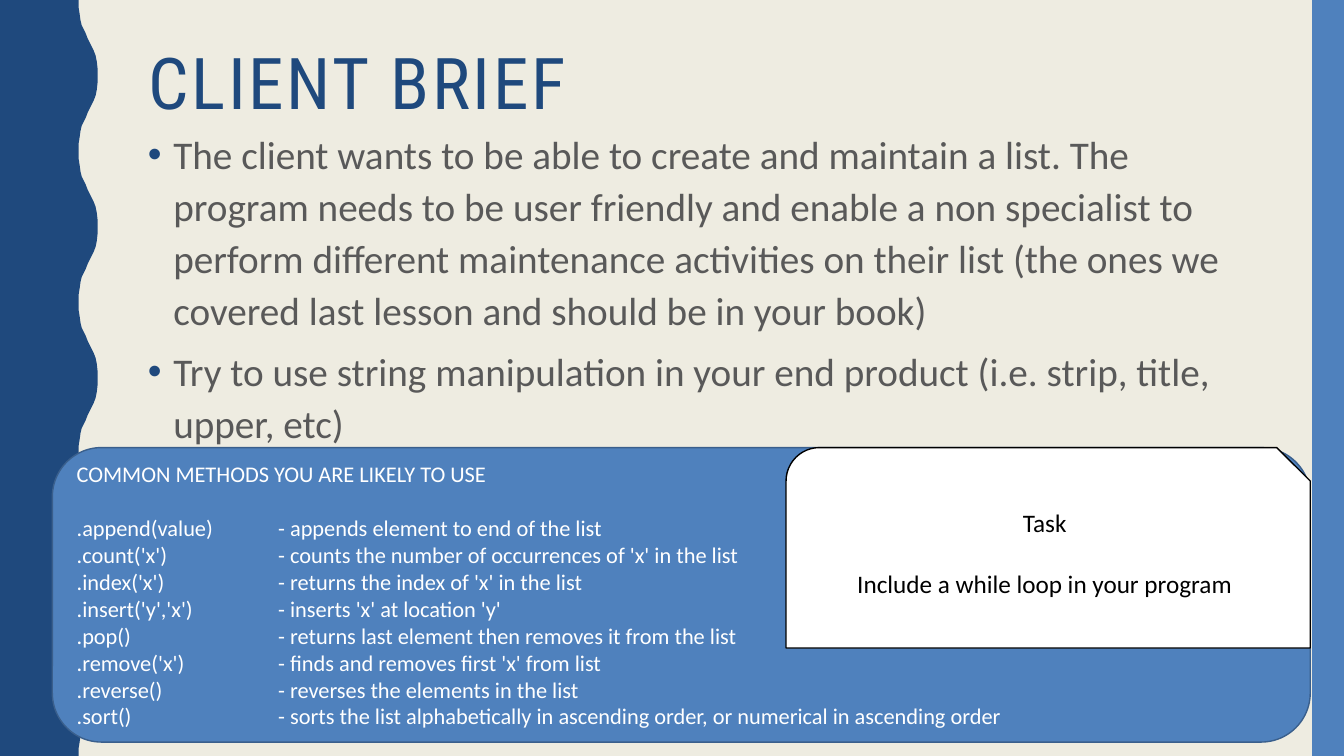
from dataclasses import dataclass

from lxml import etree
from pptx import Presentation
from pptx.dml.color import RGBColor
from pptx.enum.shapes import MSO_SHAPE
from pptx.enum.text import MSO_ANCHOR, MSO_AUTO_SIZE, PP_ALIGN
from pptx.oxml.ns import qn
from pptx.util import Cm, Pt

RECTANGLE = MSO_SHAPE.RECTANGLE
ROUNDED = MSO_SHAPE.ROUNDED_RECTANGLE
SNIP_ROUND = MSO_SHAPE.SNIP_ROUND_RECTANGLE
TOP, MIDDLE = MSO_ANCHOR.TOP, MSO_ANCHOR.MIDDLE
LEFT, CENTER = PP_ALIGN.LEFT, PP_ALIGN.CENTER
NO_AUTOFIT = MSO_AUTO_SIZE.NONE
TITLE_ONLY = 5


@dataclass(frozen=True)
class Theme:
    cream: str = "EEECE1"
    navy: str = "1F497D"
    blue: str = "4F81BD"
    outline: str = "3A5F8C"
    grey: str = "595959"
    white: str = "FFFFFF"
    black: str = "000000"
    heading_font: str = "Roboto Condensed"
    body_font: str = "Calibri"
    title_size: int = 51
    body_size: int = 28
    task_size: int = 18
    method_size: int = 16


THEME = Theme()
SLIDE_WIDTH, SLIDE_HEIGHT = 33.87, 19.05
WAVE_COUNT = 5
WAVE_LENGTH = SLIDE_HEIGHT / WAVE_COUNT
HALF_WAVE = [
    (1.98, 0), (1.98, 0.18), (2.01, 0.36), (2.03, 0.51), (2.06, 0.64),
    (2.11, 0.74), (2.16, 0.84), (2.21, 0.97), (2.26, 1.07), (2.31, 1.17),
    (2.36, 1.27), (2.41, 1.4), (2.44, 1.55), (2.46, 1.73), (2.46, 1.9),
]
BRIEF = [
    "The client wants to be able to create and maintain a list. The program needs "
    "to be user friendly and enable a non specialist to perform different maintenance "
    "activities on their list (the ones we covered last lesson and should be in your book)",
    "Try to use string manipulation in your end product (i.e. strip, title, upper, etc)",
]
METHODS = [
    (".append(value)", "appends element to end of the list"),
    (".count('x')", "counts the number of occurrences of 'x' in the list"),
    (".index('x')", "returns the index of 'x' in the list"),
    (".insert('y','x')", "inserts 'x' at location 'y'"),
    (".pop()", "returns last element then removes it from the list"),
    (".remove('x')", "finds and removes first 'x' from list"),
    (".reverse()", "reverses the elements in the list"),
    (".sort()", "sorts the list alphabetically in ascending order, "
                "or numerical in ascending order"),
]


def color(value):
    return RGBColor.from_string(value)


def style(paragraph, font_name, size, value):
    paragraph.font.name = font_name
    paragraph.font.size = Pt(size)
    paragraph.font.color.rgb = color(value)


def paint(shape, fill, line=None):
    shape.shadow.inherit = False
    shape.fill.solid()
    shape.fill.fore_color.rgb = color(fill)
    if line:
        shape.line.color.rgb = color(line)
        shape.line.width = Pt(1)
    else:
        shape.line.fill.background()


def add_block(slide, kind, box, fill, line=None):
    shape = slide.shapes.add_shape(kind, *map(Cm, box))
    paint(shape, fill, line)
    return shape


def add_wave(slide):
    half = HALF_WAVE + [(x, WAVE_LENGTH - y) for x, y in HALF_WAVE[-2::-1]]
    edge = [(x, y + wave * WAVE_LENGTH) for wave in range(WAVE_COUNT) for x, y in half]
    points = [(Cm(x), Cm(y)) for x, y in edge + [(0, SLIDE_HEIGHT)]]
    builder = slide.shapes.build_freeform(0, 0)
    builder.add_line_segments(points, close=True)
    paint(builder.convert_to_shape(), THEME.navy)


def set_title(slide, text, box):
    title = slide.shapes.title
    title.left, title.top, title.width, title.height = map(Cm, box)
    frame = title.text_frame
    frame.text = text
    frame.auto_size = NO_AUTOFIT
    frame.vertical_anchor = TOP
    paragraph = frame.paragraphs[0]
    paragraph.alignment = LEFT
    paragraph.line_spacing = 0.9
    style(paragraph, THEME.heading_font, THEME.title_size, THEME.navy)
    paragraph.runs[0].font._element.set("spc", "200")


def add_bullet(paragraph):
    properties = paragraph._p.get_or_add_pPr()
    indent = Cm(0.64)
    properties.set("marL", str(indent))
    properties.set("indent", str(-indent))
    bullet_color = etree.SubElement(properties, qn("a:buClr"))
    etree.SubElement(bullet_color, qn("a:srgbClr"), val=THEME.navy)
    etree.SubElement(properties, qn("a:buFont"), typeface="Arial")
    etree.SubElement(properties, qn("a:buChar"), char="•")


def add_tab_stop(paragraph, position):
    tabs = etree.SubElement(paragraph._p.get_or_add_pPr(), qn("a:tabLst"))
    etree.SubElement(tabs, qn("a:tab"), pos=str(position), algn="l")


def fill_paragraphs(shape, lines):
    frame = shape.text_frame
    frame.word_wrap = True
    frame.text = "\n".join(lines)
    return frame.paragraphs


def add_brief(slide, box):
    text_box = slide.shapes.add_textbox(*map(Cm, box))
    for paragraph in fill_paragraphs(text_box, BRIEF):
        paragraph.line_spacing = 1.1
        paragraph.space_before = Pt(7)
        add_bullet(paragraph)
        style(paragraph, THEME.body_font, THEME.body_size, THEME.grey)


def add_methods(slide, box):
    panel = add_block(slide, ROUNDED, box, THEME.blue, THEME.outline)
    panel.text_frame.vertical_anchor = MIDDLE
    lines = [f"{call}\t- {purpose}" for call, purpose in METHODS]
    paragraphs = fill_paragraphs(panel, ["COMMON METHODS YOU ARE LIKELY TO USE"] + lines)
    paragraphs[0].space_after = Pt(19.5)
    for paragraph in paragraphs:
        paragraph.alignment = LEFT
        add_tab_stop(paragraph, Cm(5.08))
        style(paragraph, THEME.body_font, THEME.method_size, THEME.white)


def add_task(slide, box):
    card = add_block(slide, SNIP_ROUND, box, THEME.white, THEME.black)
    card.text_frame.vertical_anchor = MIDDLE
    paragraphs = fill_paragraphs(card, ["Task", "Include a while loop in your program"])
    paragraphs[0].space_after = Pt(22)
    for paragraph in paragraphs:
        paragraph.alignment = CENTER
        style(paragraph, THEME.body_font, THEME.task_size, THEME.black)


def main():
    presentation = Presentation()
    presentation.slide_width = Cm(SLIDE_WIDTH)
    presentation.slide_height = Cm(SLIDE_HEIGHT)
    slide = presentation.slides.add_slide(presentation.slide_layouts[TITLE_ONLY])
    slide.background.fill.solid()
    slide.background.fill.fore_color.rgb = color(THEME.cream)
    add_wave(slide)
    add_block(slide, RECTANGLE, (33.07, 0, 0.8, SLIDE_HEIGHT), THEME.blue)
    set_title(slide, "CLIENT BRIEF", (3.48, 1.07, 28.27, 4.14))
    add_brief(slide, (3.48, 3.05, 28.27, 13.28))
    add_methods(slide, (1.32, 11.28, 31.7, 7.42))
    add_task(slide, (19.81, 11.28, 13.21, 5.05))
    presentation.save("out.pptx")


main()
